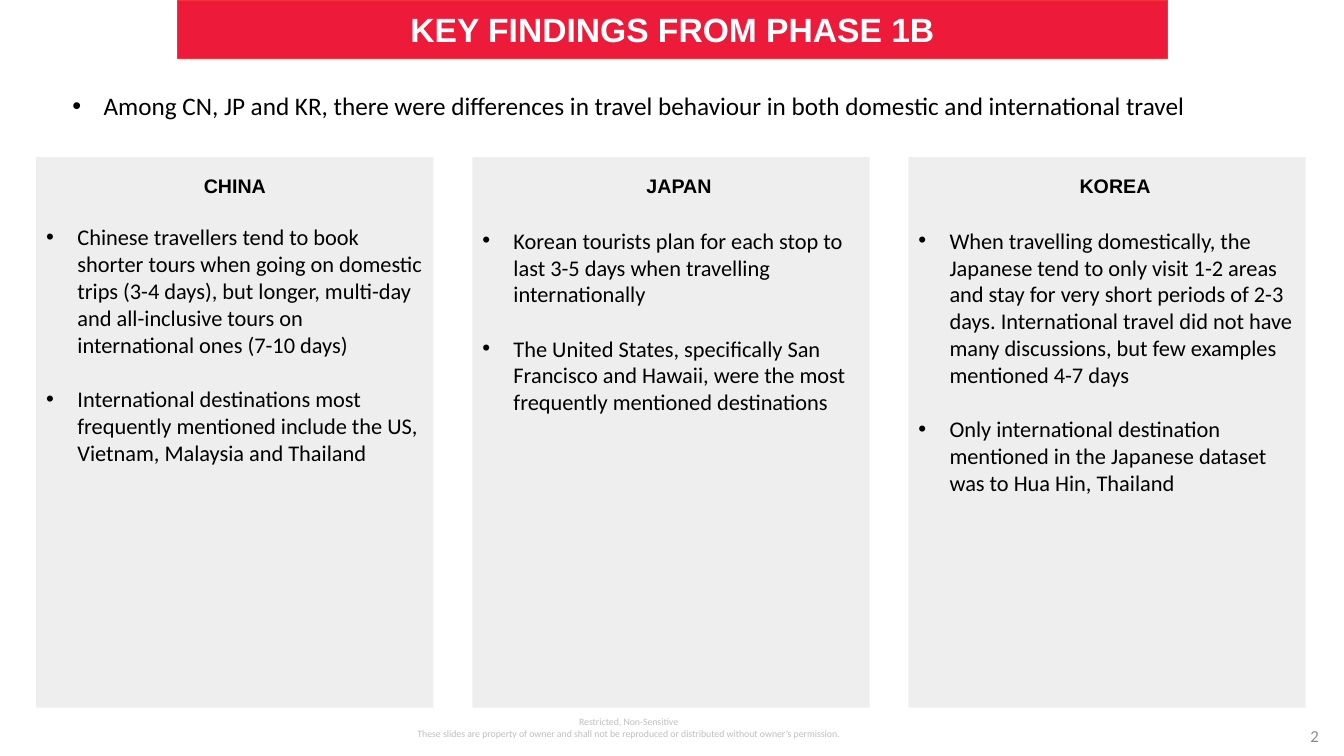
from dataclasses import dataclass

from lxml import etree
from pptx import Presentation
from pptx.dml.color import RGBColor
from pptx.enum.shapes import MSO_SHAPE
from pptx.enum.text import MSO_ANCHOR, MSO_AUTO_SIZE, PP_ALIGN
from pptx.oxml.ns import qn
from pptx.util import Inches, Pt

RECTANGLE = MSO_SHAPE.RECTANGLE
TOP, MIDDLE = MSO_ANCHOR.TOP, MSO_ANCHOR.MIDDLE
LEFT, CENTER, RIGHT = PP_ALIGN.LEFT, PP_ALIGN.CENTER, PP_ALIGN.RIGHT
NO_AUTOFIT = MSO_AUTO_SIZE.NONE
TITLE_ONLY_LAYOUT = 5


@dataclass(frozen=True)
class Theme:
    heading_font: str = "Arial"
    body_font: str = "Calibri"
    banner: str = "EE1A3A"
    banner_line: str = "F4333D"
    panel: str = "EEEEEE"
    text: str = "000000"
    inverse: str = "FFFFFF"
    footer: str = "BFBFBF"
    page_number: str = "8C8C8C"
    title_size: float = 24
    lead_size: float = 18
    body_size: float = 16
    heading_size: float = 14
    page_number_size: float = 12
    footer_size: float = 7


def add_text(frame, text, *, font, size, color, bold=False, align=LEFT,
             indent=0, bullet=False, line_spacing=1.0, space_after=0):
    paragraph = frame.paragraphs[0]
    if paragraph.runs:
        paragraph = frame.add_paragraph()
    paragraph.alignment = align
    paragraph.line_spacing = line_spacing
    paragraph.space_before = Pt(0)
    paragraph.space_after = Pt(space_after)
    properties = paragraph._p.get_or_add_pPr()
    properties.set("marL", str(Inches(indent)))
    properties.set("indent", str(-Inches(indent) if bullet else 0))
    if bullet:
        etree.SubElement(properties, qn("a:buFont")).set("typeface", "Arial")
        etree.SubElement(properties, qn("a:buChar")).set("char", "•")
    run = paragraph.add_run()
    run.text = text
    run.font.name = font
    run.font.size = Pt(size)
    run.font.bold = bold
    run.font.color.rgb = RGBColor.from_string(color)


class SlideBuilder:
    def __init__(self, slide, theme):
        self.slide = slide
        self.theme = theme

    def prepare_frame(self, shape, anchor):
        frame = shape.text_frame
        frame.word_wrap = True
        frame.auto_size = NO_AUTOFIT
        frame.vertical_anchor = anchor
        frame.margin_left = frame.margin_right = Inches(0.1)
        frame.margin_top = frame.margin_bottom = Inches(0.05)
        return frame

    def title(self, text, left, top, width, height):
        theme = self.theme
        shape = self.slide.shapes.title
        shape.left, shape.top = Inches(left), Inches(top)
        shape.width, shape.height = Inches(width), Inches(height)
        shape.fill.solid()
        shape.fill.fore_color.rgb = RGBColor.from_string(theme.banner)
        shape.line.color.rgb = RGBColor.from_string(theme.banner_line)
        shape.line.width = Pt(0.75)
        add_text(self.prepare_frame(shape, MIDDLE), text, font=theme.heading_font,
                 size=theme.title_size, color=theme.inverse, bold=True, align=CENTER)

    def text_box(self, lines, left, top, width, height, anchor=TOP, **text_format):
        shape = self.slide.shapes.add_textbox(
            Inches(left), Inches(top), Inches(width), Inches(height))
        frame = self.prepare_frame(shape, anchor)
        for line in lines:
            add_text(frame, line, font=self.theme.body_font, **text_format)

    def panel(self, heading, findings, left, top, width, height,
              heading_indent, heading_gap):
        theme = self.theme
        shape = self.slide.shapes.add_shape(
            RECTANGLE, Inches(left), Inches(top), Inches(width), Inches(height))
        shape.shadow.inherit = False
        shape.fill.solid()
        shape.fill.fore_color.rgb = RGBColor.from_string(theme.panel)
        shape.line.fill.background()
        frame = self.prepare_frame(shape, TOP)
        add_text(frame, heading, font=theme.heading_font, size=theme.heading_size,
                 color=theme.text, bold=True, align=CENTER, indent=heading_indent,
                 line_spacing=1.5, space_after=heading_gap)
        for finding in findings:
            add_text(frame, finding, font=theme.body_font, size=theme.body_size,
                     color=theme.text, indent=0.31, bullet=True, space_after=19.5)


COUNTRIES = [
    ("CHINA", 0, 18.5, [
        "Chinese travellers tend to book shorter tours when going on domestic trips "
        "(3-4 days), but longer, multi-day and all-inclusive tours on international "
        "ones (7-10 days)",
        "International destinations most frequently mentioned include the US, "
        "Vietnam, Malaysia and Thailand",
    ]),
    ("JAPAN", 0.16, 21, [
        "Korean tourists plan for each stop to last 3-5 days when travelling "
        "internationally",
        "The United States, specifically San Francisco and Hawaii, were the most "
        "frequently mentioned destinations",
    ]),
    ("KOREA", 0.16, 21, [
        "When travelling domestically, the Japanese tend to only visit 1-2 areas and "
        "stay for very short periods of 2-3 days. International travel did not have "
        "many discussions, but few examples mentioned 4-7 days",
        "Only international destination mentioned in the Japanese dataset was to "
        "Hua Hin, Thailand",
    ]),
]


def main():
    presentation = Presentation()
    presentation.slide_width = Inches(13.33)
    presentation.slide_height = Inches(7.5)
    slide = presentation.slides.add_slide(presentation.slide_layouts[TITLE_ONLY_LAYOUT])
    theme = Theme()
    builder = SlideBuilder(slide, theme)

    builder.title("KEY FINDINGS FROM PHASE 1B", 1.76, 0, 9.82, 0.58)
    builder.text_box(
        ["Among CN, JP and KR, there were differences in travel behaviour in both "
         "domestic and international travel"],
        0.62, 0.85, 12.37, 0.4, size=theme.lead_size, color=theme.text,
        indent=0.31, bullet=True)

    panel_left, panel_pitch = 0.36, 4.325
    for index, (country, heading_indent, heading_gap, findings) in enumerate(COUNTRIES):
        builder.panel(country, findings, panel_left + index * panel_pitch, 1.56,
                      3.94, 5.46, heading_indent, heading_gap)

    builder.text_box(
        ["Restricted, Non-Sensitive",
         "These slides are property of owner and shall not be reproduced or distributed "
         "without owner’s permission."],
        2.9, 7.05, 6.67, 0.34, size=theme.footer_size, color=theme.footer, align=CENTER)
    builder.text_box(["2"], 10.18, 7.1, 3, 0.4, anchor=MIDDLE,
                     size=theme.page_number_size, color=theme.page_number, align=RIGHT)

    presentation.save("out.pptx")


if __name__ == "__main__":
    main()
